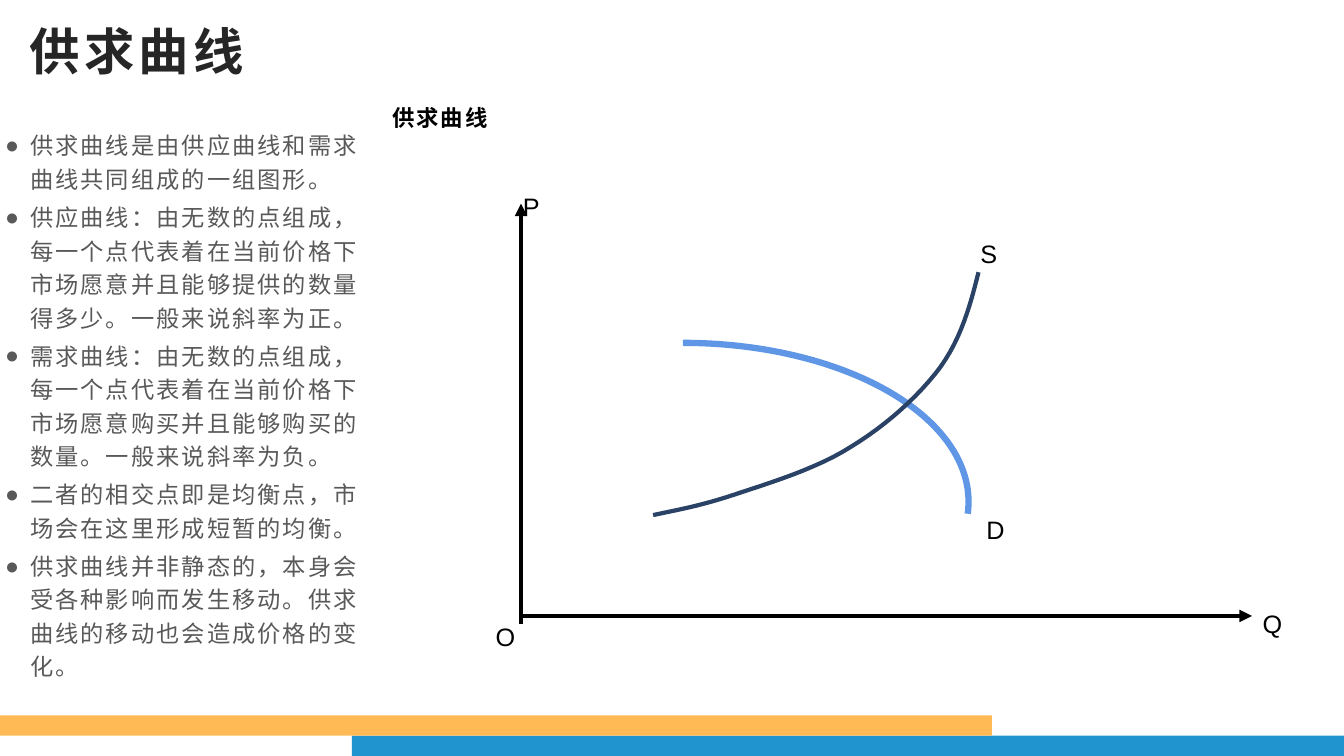
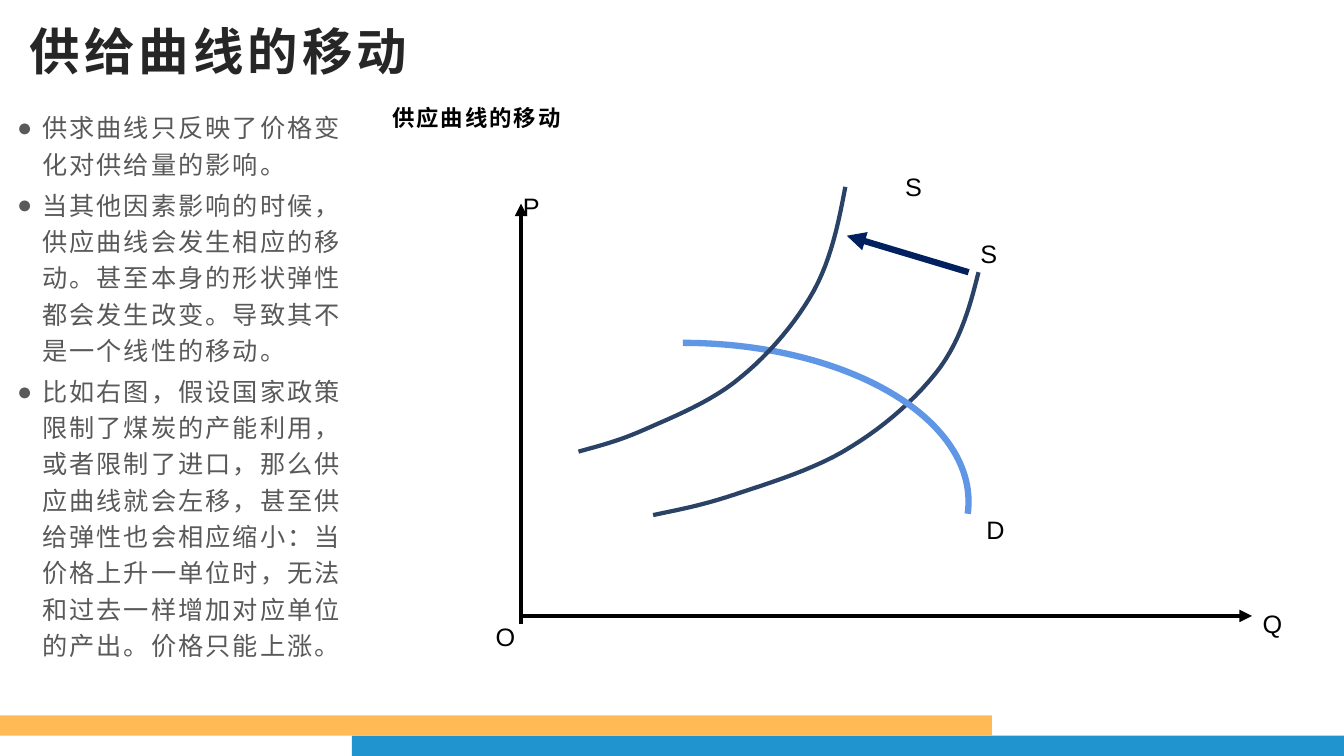
import pptx
import pptx.util
import pptx.dml.color
import pptx.enum.shapes
import pptx.enum.text
import pptx.oxml.ns
from lxml import etree

Cm, Pt = pptx.util.Cm, pptx.util.Pt
qn = pptx.oxml.ns.qn
MSO_SHAPE = pptx.enum.shapes.MSO_SHAPE
ANCHOR = pptx.enum.text.MSO_ANCHOR
AUTO_SIZE = pptx.enum.text.MSO_AUTO_SIZE

WIDTH, HEIGHT = 33.87, 19.05
BAND_WIDTH, BAND_HEIGHT = 25, 0.51
CJK_FONT = "Noto Sans CJK SC"

TITLE = dict(size=36, color="262626", bold=True, spacing=3, anchor=ANCHOR.MIDDLE)
CAPTION = dict(size=16, color="000000", bold=True, spacing=1.5, anchor=ANCHOR.MIDDLE,
               font=CJK_FONT, margins=(0.23, 0.1, 0.23, 0.1), line_spacing=1.3)
BODY = dict(color="595959", spacing=1.5, margins=(0.13, 0.18, 0.13, 0.1),
            line_spacing=1.2, space_after=Pt(3.4), bullet="●")
LABEL = dict(size=18, color="000000", wrap=False)

AXES = [((13.13, 15.52), (31.55, 15.52), "000000", 3),
        ((13.13, 15.72), (13.13, 5.13), "000000", 3)]
LABELS = [("P", 12.93, 4.7), ("Q", 31.57, 15.21), ("D", 24.61, 12.83),
          ("S", 24.46, 5.87), ("O", 12.24, 15.52)]

# Bezier points of the supply curve: right of and above its lower end
SUPPLY_POINTS = [(0, 0), (0.61, 0.13), (1.19, 0.23), (2.03, 0.51), (2.87, 0.79),
                 (4.14, 1.17), (5, 1.73), (5.87, 2.26), (6.7, 3), (7.24, 3.73),
                 (7.77, 4.47), (8, 5.31), (8.2, 6.12)]
STEPS = 12
DEMAND = "demand"
# Start x, start y, horizontal scale, vertical scale
SUPPLY = (16.46, 12.98, 1, 1)
SHIFTED_SUPPLY = (14.58, 11.38, 0.82, 1.09)

SLIDES = [
    dict(title="供求曲线", caption="供求曲线", body_box=(0, 3, 9.68, 15.47), body_size=16.6,
         body=["供求曲线是由供应曲线和需求曲线共同组成的一组图形。",
               "供应曲线：由无数的点组成，每一个点代表着在当前价格下市场愿意并且能够提供的数量得多少。一般来说斜率为正。",
               "需求曲线：由无数的点组成，每一个点代表着在当前价格下市场愿意购买并且能够购买的数量。一般来说斜率为负。",
               "二者的相交点即是均衡点，市场会在这里形成短暂的均衡。",
               "供求曲线并非静态的，本身会受各种影响而发生移动。供求曲线的移动也会造成价格的变化。"],
         curves=[DEMAND, SUPPLY], labels=[], arrows=[]),
    dict(title="供给曲线的移动", caption="供应曲线的移动", body_box=(0.3, 2.51, 9.02, 15.93),
         body_size=18,
         body=["供求曲线只反映了价格变化对供给量的影响。",
               "当其他因素影响的时候，供应曲线会发生相应的移动。甚至本身的形状弹性都会发生改变。导致其不是一个线性的移动。",
               "比如右图，假设国家政策限制了煤炭的产能利用，或者限制了进口，那么供应曲线就会左移，甚至供给弹性也会相应缩小：当价格上升一单位时，无法和过去一样增加对应单位的产出。价格只能上涨。"],
         curves=[SUPPLY, DEMAND, SHIFTED_SUPPLY], labels=[("S", 22.56, 4.19)],
         arrows=[((24.41, 6.86), (21.34, 5.94), "002060", 4.5)]),
]


def paint(fmt, color):
    """Give a fill one solid colour."""
    fmt.solid()
    fmt.fore_color.rgb = pptx.dml.color.RGBColor.from_string(color)


def add_text(s, box, lines, size, color, bold=False, spacing=0, anchor=ANCHOR.TOP,
             font="Arial", margins=(0.25, 0.13, 0.25, 0.13), wrap=True,
             line_spacing=None, space_after=None, bullet=None):
    sp = s.shapes.add_textbox(*map(Cm, box))
    tf = sp.text_frame
    frame_format = dict(word_wrap=wrap, vertical_anchor=anchor,
                        auto_size=AUTO_SIZE.NONE if wrap else AUTO_SIZE.SHAPE_TO_FIT_TEXT)
    for side, margin in zip(("left", "top", "right", "bottom"), margins):
        frame_format["margin_" + side] = Cm(margin)
    for name, value in frame_format.items():
        setattr(tf, name, value)
    for i, line in enumerate(lines):
        p = tf.paragraphs[0] if i == 0 else tf.add_paragraph()
        p.line_spacing, p.space_after = line_spacing, space_after
        if bullet:
            pPr = p._p.get_or_add_pPr()
            pPr.set("marL", str(Cm(0.63)))
            pPr.set("indent", str(-Cm(0.63)))
            etree.SubElement(pPr, qn("a:buFont")).set("typeface", "Arial")
            etree.SubElement(pPr, qn("a:buChar")).set("char", bullet)
        r = p.add_run()
        r.text = line
        for name, value in dict(name=font, size=Pt(size), bold=bold).items():
            setattr(r.font, name, value)
        paint(r.font.fill, color)
        rPr = r._r.get_or_add_rPr()
        rPr.set("spc", str(int(spacing * 100)))
        ea = etree.Element(qn("a:ea"), typeface=CJK_FONT)
        rPr.find(qn("a:latin")).addnext(ea)
    return sp


prs = pptx.Presentation()
prs.slide_width, prs.slide_height = Cm(WIDTH), Cm(HEIGHT)

for content in SLIDES:
    s = prs.slides.add_slide(prs.slide_layouts[6])

    for left, rows_up, color in [(WIDTH - BAND_WIDTH, 1, "2094CE"), (0, 2, "FFBA55")]:
        band = s.shapes.add_shape(MSO_SHAPE.RECTANGLE, Cm(left),
                                  Cm(HEIGHT - rows_up * BAND_HEIGHT),
                                  Cm(BAND_WIDTH), Cm(BAND_HEIGHT))
        paint(band.fill, color)
        band.line.fill.background()
        band.shadow.inherit = False

    add_text(s, content["body_box"], content["body"], size=content["body_size"], **BODY)
    add_text(s, (0.5, 0.28, 32.87, 1.96), [content["title"]], **TITLE)
    caption = add_text(s, (9.65, 2.41, 23.85, 0.89), [content["caption"]], **CAPTION)
    paint(caption.fill, "FFFFFF")

    for curve in content["curves"]:
        if curve == DEMAND:
            sp = s.shapes.add_shape(MSO_SHAPE.ARC, Cm(10.01), Cm(8.64), Cm(14.4), Cm(8))
            sp.adjustments[0], sp.adjustments[1] = 162, 1.47
            color, weight = "6096E6", 4.5
        else:
            x0, y0, x_scale, y_scale = curve
            points = [(Cm(x0 + x * x_scale), Cm(y0 - y * y_scale)) for x, y in SUPPLY_POINTS]
            vertices = []
            for i in range(0, len(points) - 1, 3):
                for step in range(1, STEPS + 1):
                    t = step / STEPS
                    weights = ((1 - t) ** 3, 3 * t * (1 - t) ** 2, 3 * t ** 2 * (1 - t), t ** 3)
                    vertices.append([round(sum(w * c for w, c in zip(weights, coords)))
                                     for coords in zip(*points[i:i + 4])])
            builder = s.shapes.build_freeform(*points[0])
            builder.add_line_segments(vertices, close=False)
            sp = builder.convert_to_shape()
            color, weight = "2A4265", 3
        sp.fill.background()
        sp.shadow.inherit = False
        paint(sp.line.fill, color)
        sp.line.width = Pt(weight)

    for start, end, color, weight in AXES + content["arrows"]:
        arrow = s.shapes.add_connector(pptx.enum.shapes.MSO_CONNECTOR.STRAIGHT,
                                       *map(Cm, start + end))
        paint(arrow.line.fill, color)
        arrow.line.width = Pt(weight)
        spPr = arrow._element.spPr
        etree.SubElement(spPr.find(qn("a:ln")), qn("a:tailEnd")).set("type", "triangle")
        etree.SubElement(spPr, qn("a:effectLst"))

    for letter, left, top in LABELS + content["labels"]:
        add_text(s, (left, top, 0.97, 1.02), [letter], **LABEL)

prs.save("out.pptx")
